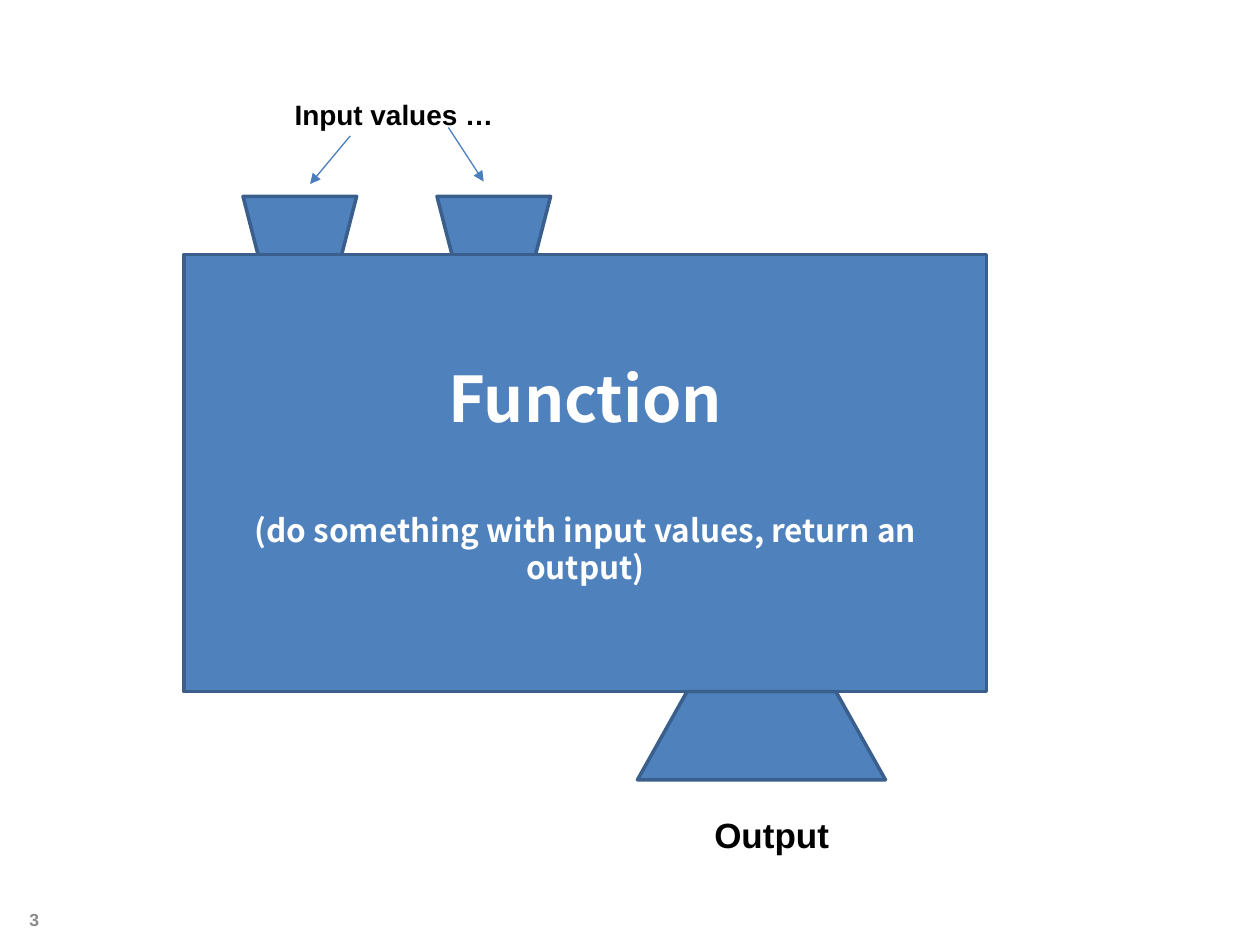
"""Build a slide showing a function as a machine with inputs and an output."""
from lxml.etree import SubElement
from pptx import Presentation
from pptx.dml.color import RGBColor
from pptx.enum.shapes import MSO_CONNECTOR, MSO_SHAPE as SHAPE
from pptx.enum.text import MSO_ANCHOR as ANCHOR, PP_ALIGN as ALIGN
from pptx.oxml.ns import qn
from pptx.util import Cm, Pt

COLORS = {"fill": "4F81BD", "edge": "3A5F8C", "arrow": "4B7EBC",
          "white": "FFFFFF", "black": "000000", "gray": "8C8C8C"}


def rgb(name):
    return RGBColor.from_string(COLORS[name])


def add_run(p, text, size, color, font="Arial"):
    r = p.add_run()
    r.text = text
    r.font.name, r.font.size, r.font.bold = font, Pt(size), True
    r.font.color.rgb = rgb(color)
    return r


prs = Presentation()
prs.slide_width, prs.slide_height = Cm(25.4), Cm(19.05)
s = prs.slides.add_slide(prs.slide_layouts[6])

parts = [
    (SHAPE.FLOWCHART_MANUAL_OPERATION, 4.9, 3.96, 2.29, 1.78, 0),
    (SHAPE.FLOWCHART_MANUAL_OPERATION, 8.81, 3.96, 2.29, 1.78, 0),
    (SHAPE.FLOWCHART_PROCESS, 3.71, 5.13, 16.18, 8.81, 0),
    (SHAPE.FLOWCHART_MANUAL_OPERATION, 12.85, 13.94, 5, 1.78, 180),
]
for kind, x, y, w, h, angle in parts:
    sp = s.shapes.add_shape(kind, Cm(x), Cm(y), Cm(w), Cm(h))
    sp.rotation = angle
    sp.shadow.inherit = False
    sp.fill.solid()
    sp.fill.fore_color.rgb = rgb("fill")
    sp.line.color.rgb = rgb("edge")
    sp.line.width = Pt(2)
    if kind == SHAPE.FLOWCHART_PROCESS:
        tf = sp.text_frame

tf.word_wrap = True
tf.vertical_anchor = ANCHOR.MIDDLE
lines = [("Function", 36, 0),
         ("(do something with input values, return an output)", 18, 43)]
for i, (text, size, gap) in enumerate(lines):
    p = tf.add_paragraph() if i else tf.paragraphs[0]
    p.alignment = ALIGN.CENTER
    p.space_before = Pt(gap)
    r = add_run(p, text, size, "white", "Noto Sans CJK KR")
    SubElement(r.font._element, qn("a:ea")).set("typeface", "Noto Sans CJK KR")

labels = [
    ("Input values …", 5.69, 1.85, 4.55, 0.94, 16, "black", ALIGN.LEFT, ANCHOR.TOP),
    ("Output", 14.15, 16.28, 2.92, 1.12, 20, "black", ALIGN.LEFT, ANCHOR.TOP),
    ("3", 0, 18.03, 1.04, 1.02, 10, "gray", ALIGN.RIGHT, ANCHOR.MIDDLE),
]
for text, x, y, w, h, size, color, align, anchor in labels:
    tf = s.shapes.add_textbox(Cm(x), Cm(y), Cm(w), Cm(h)).text_frame
    tf.word_wrap = False
    tf.vertical_anchor = anchor
    p = tf.paragraphs[0]
    p.alignment = align
    add_run(p, text, size, color)

for x1, y1, x2, y2 in [(7.06, 2.74, 6.25, 3.71), (9.04, 2.57, 9.75, 3.66)]:
    arrow = s.shapes.add_connector(MSO_CONNECTOR.STRAIGHT, Cm(x1), Cm(y1), Cm(x2), Cm(y2))
    arrow.line.color.rgb = rgb("arrow")
    arrow.line.width = Pt(0.75)
    SubElement(arrow.line._get_or_add_ln(), qn("a:tailEnd")).set("type", "triangle")
    SubElement(arrow._element.spPr, qn("a:effectLst"))

prs.save("out.pptx")
